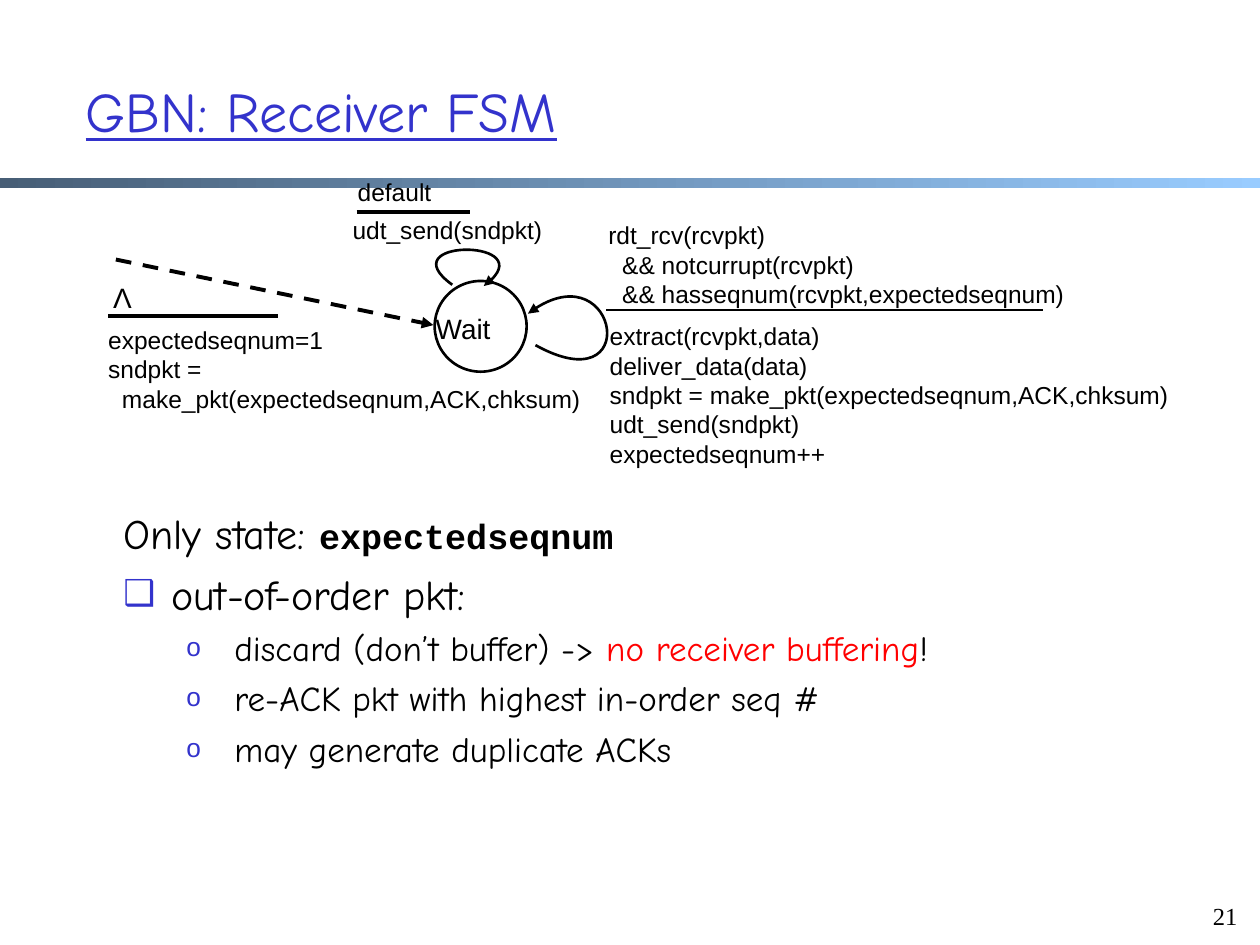
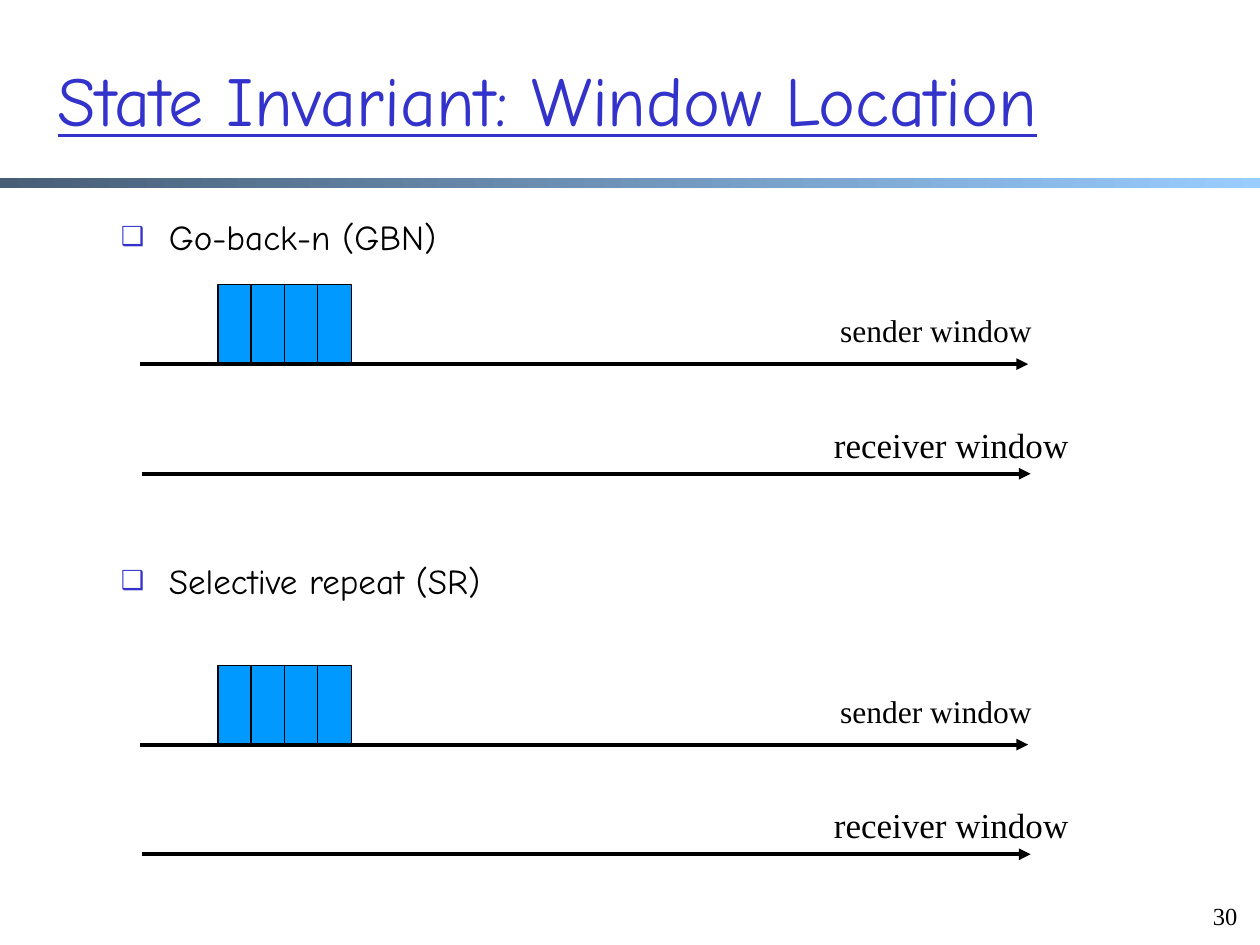
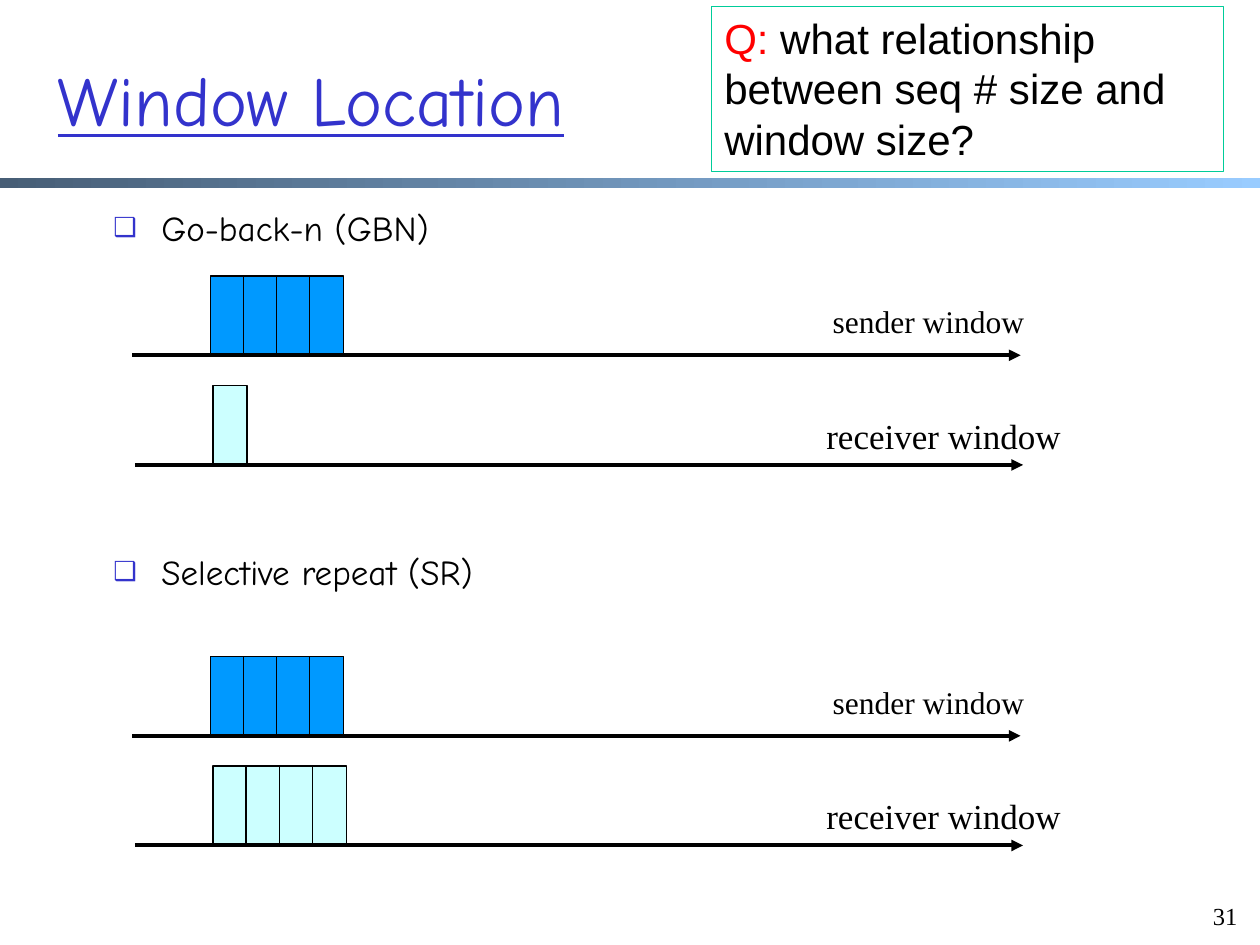
from dataclasses import dataclass

from lxml import etree
from pptx import Presentation
from pptx.dml.color import RGBColor
from pptx.enum.dml import MSO_LINE
from pptx.enum.shapes import MSO_CONNECTOR, MSO_SHAPE
from pptx.enum.text import MSO_ANCHOR, MSO_AUTO_SIZE, PP_ALIGN
from pptx.oxml.ns import qn
from pptx.util import Inches, Pt


@dataclass(frozen=True)
class Theme:
    """Colours, fonts and type sizes shared by the slides."""
    ink: str = "000000"
    accent: str = "3333CC"
    alert: str = "FF0000"
    paper: str = "FFFFFF"
    band_from: str = "475E76"
    band_to: str = "99CCFF"
    sender: str = "0099FF"
    receiver: str = "CCFFFF"
    question: str = "00CC99"
    heading: str = "Comic Neue"
    sans: str = "Arial"
    serif: str = "Times New Roman"
    mono: str = "Courier New"
    title: int = 40
    title_small: int = 32
    large: int = 24
    medium: int = 20
    label: int = 18
    state: int = 16
    small: int = 14
    thin: float = 0.75
    curve: float = 1.5
    thick: float = 2.25


THEME = Theme()
BOX_WIDTH, BOX_HEIGHT, BOX_PITCH = 0.27, 0.63, 0.263
AXIS_LENGTH = 7.05


def rgb(value):
    """Turn RRGGBB into a colour."""
    return RGBColor.from_string(value)


def place(shape, box):
    """Set left, top, width and height in inches."""
    shape.left, shape.top, shape.width, shape.height = map(Inches, box)


def add_run(paragraph, text, size, font, color=THEME.ink, bold=False):
    """Append a formatted run and return it."""
    run = paragraph.add_run()
    run.text = text
    run.font.size, run.font.name, run.font.bold = Pt(size), font, bold
    run.font.color.rgb = rgb(color)
    return run


def set_indent(paragraph, left, first=0):
    """Set the left margin and first-line indent in inches."""
    properties = paragraph._p.get_or_add_pPr()
    properties.set("marL", str(Inches(left)))
    properties.set("indent", str(Inches(first)))


def set_bullet(paragraph, char, percent):
    """Give a paragraph an accent bullet, or none when char is empty."""
    properties = paragraph._p.get_or_add_pPr()
    if not char:
        etree.SubElement(properties, qn("a:buNone"))
        return
    color = etree.SubElement(properties, qn("a:buClr"))
    etree.SubElement(color, qn("a:srgbClr"), val=THEME.accent)
    etree.SubElement(properties, qn("a:buSzPct"), val=str(percent * 1000))
    etree.SubElement(properties, qn("a:buFont"), typeface=THEME.sans)
    etree.SubElement(properties, qn("a:buChar"), char=char)


def add_item(frame, runs, level=0, bullet="", percent=75, before=4.7):
    """Append a list item made of (text, size, font, colour, bold) runs."""
    first = frame.paragraphs[0]
    paragraph = frame.add_paragraph() if first.runs else first
    paragraph.level = level
    paragraph.space_before = Pt(before)
    set_indent(paragraph, 0.38 + 0.5 * level, -0.38)
    set_bullet(paragraph, bullet, percent)
    for run in runs:
        add_run(paragraph, *run)


def add_text(slide, box, lines, size, font=THEME.sans, wrap=True):
    """Add a text box; lines are strings, or (string, indent) pairs."""
    shape = slide.shapes.add_textbox(*map(Inches, box))
    frame = shape.text_frame
    frame.word_wrap = wrap
    for index, line in enumerate(lines):
        text, indent = line if isinstance(line, tuple) else (line, 0)
        paragraph = frame.add_paragraph() if index else frame.paragraphs[0]
        if indent:
            set_indent(paragraph, indent)
        add_run(paragraph, text, size, font)
    return shape


def add_box(slide, kind, box, fill=None, line=THEME.ink, width=THEME.thin):
    """Add a preset shape without shadow."""
    shape = slide.shapes.add_shape(kind, *map(Inches, box))
    shape.shadow.inherit = False
    if fill:
        shape.fill.solid()
        shape.fill.fore_color.rgb = rgb(fill)
    else:
        shape.fill.background()
    shape.line.color.rgb = rgb(line)
    shape.line.width = Pt(width)
    return shape


def add_arrowhead(shape):
    """Put a triangle at the end of a line."""
    etree.SubElement(shape.line._get_or_add_ln(), qn("a:tailEnd"), type="triangle")


def add_line(slide, start, end, width=THEME.thick, arrow=False, dashed=False):
    """Add a straight line between two points."""
    line = slide.shapes.add_connector(
        MSO_CONNECTOR.STRAIGHT, *map(Inches, (*start, *end)))
    line.line.color.rgb = rgb(THEME.ink)
    line.line.width = Pt(width)
    if dashed:
        line.line.dash_style = MSO_LINE.DASH
    if arrow:
        add_arrowhead(line)
    etree.SubElement(line._element.spPr, qn("a:effectLst"))


def add_loop(slide, start, *controls_and_end):
    """Add a cubic curve with an arrowhead."""
    builder = slide.shapes.build_freeform(*map(Inches, start))
    builder.add_line_segments(
        [tuple(map(Inches, point)) for point in controls_and_end], close=False)
    loop = builder.convert_to_shape()
    path = next(loop._element.iter(qn("a:path")))
    segments = path.findall(qn("a:lnTo"))
    cubic = etree.SubElement(path, qn("a:cubicBezTo"))
    for segment in segments:
        cubic.append(segment[0])
        path.remove(segment)
    loop.shadow.inherit = False
    loop.fill.background()
    loop.line.color.rgb = rgb(THEME.ink)
    loop.line.width = Pt(THEME.curve)
    add_arrowhead(loop)


def add_band(prs, slide):
    """Draw the gradient band and move it to the slide master."""
    band = add_box(slide, MSO_SHAPE.RECTANGLE, (0, 1.41, 10, 0.08))
    band.line.fill.background()
    band.fill.gradient()
    band.fill.gradient_angle = 0
    for stop, color in zip(band.fill.gradient_stops,
                           (THEME.band_from, THEME.band_to)):
        stop.color.rgb = rgb(color)
    prs.slide_master.shapes._spTree.insert(2, band._element)


def add_slide(prs, title, title_box, title_size, body_box, number):
    """Add a slide with title and number; return it and its body frame."""
    slide = prs.slides.add_slide(prs.slide_layouts[1])
    heading, body = slide.shapes.title, slide.placeholders[1]
    place(heading, title_box)
    place(body, body_box)
    for shape in (heading, body):
        shape.text_frame.auto_size = MSO_AUTO_SIZE.NONE
        shape.text_frame.word_wrap = True
    heading.text_frame.vertical_anchor = MSO_ANCHOR.MIDDLE
    paragraph = heading.text_frame.paragraphs[0]
    paragraph.alignment = PP_ALIGN.LEFT
    run = add_run(paragraph, title, title_size, THEME.heading, THEME.accent)
    run.font.underline = True
    footer = add_text(slide, (9.46, 7.05, 0.46, 0.38), [str(number)],
                      THEME.small, THEME.serif).text_frame
    footer.vertical_anchor = MSO_ANCHOR.BOTTOM
    footer.paragraphs[0].alignment = PP_ALIGN.RIGHT
    return slide, body.text_frame


def add_state_machine(slide):
    """Draw the receiver state with its transitions."""
    add_box(slide, MSO_SHAPE.OVAL, (3.45, 2.23, 0.73, 0.72), THEME.paper,
            width=THEME.curve)
    add_text(slide, (3.36, 2.42, 0.88, 0.26), ["Wait"], THEME.state)

    add_line(slide, (0.92, 2.06), (3.44, 2.58), arrow=True, dashed=True)
    add_text(slide, (0.8, 2.18, 0.35, 0.37), ["\u039b"], THEME.state, wrap=False)
    add_line(slide, (0.86, 2.51), (2.21, 2.51))
    add_text(slide, (0.76, 2.53, 3.98, 1.07),
             ["expectedseqnum=1", "sndpkt =",
              ("make_pkt(expectedseqnum,ACK,chksum)", 0.11)], THEME.small)

    add_text(slide, (2.74, 1.36, 0.79, 0.27), ["default"], THEME.small)
    add_line(slide, (2.83, 1.68), (3.73, 1.68))
    add_text(slide, (2.7, 1.66, 1.77, 0.34), ["udt_send(sndpkt)"], THEME.small)
    add_loop(slide, (3.59, 2.26), (3.09, 1.9), (4.35, 1.89), (3.84, 2.27))

    add_text(slide, (4.73, 1.7, 3.9, 0.62),
             ["rdt_rcv(rcvpkt)", ("&& notcurrupt(rcvpkt)", 0.11),
              ("&& hasseqnum(rcvpkt,expectedseqnum)", 0.11)], THEME.small)
    add_line(slide, (4.81, 2.46), (8.28, 2.46), THEME.curve)
    add_text(slide, (4.74, 2.5, 4.72, 1.24),
             ["extract(rcvpkt,data)", "deliver_data(data)",
              "sndpkt = make_pkt(expectedseqnum,ACK,chksum)",
              "udt_send(sndpkt)", "expectedseqnum++"], THEME.small)
    add_loop(slide, (4.25, 2.74), (5.1, 3.21), (4.9, 1.95), (4.19, 2.49))


def add_receiver_slide(prs):
    """Build the receiver state machine slide."""
    slide, body = add_slide(prs, "GBN: Receiver FSM", (0.58, 0.25, 8.5, 1.25),
                            THEME.title_small, (0.88, 3.98, 8.91, 3.12), 21)
    add_band(prs, slide)
    large = (THEME.large, THEME.heading)
    medium = (THEME.medium, THEME.heading)
    add_item(body, [("Only state: ", *large),
                    ("expectedseqnum", THEME.medium, THEME.mono, THEME.ink, True)],
             before=5.6)
    add_item(body, [("out-of-order pkt:", *large)], 0, "\u2751", 85, 5.6)
    for runs in (
        [("discard (don\u2019t buffer) -> ", *medium),
         ("no receiver buffering", *medium, THEME.alert), ("!", *medium)],
        [("re-ACK pkt with highest in-order seq #", *medium)],
        [("may generate duplicate ACKs", *medium)],
    ):
        add_item(body, runs, 1, "o")
    add_state_machine(slide)


def add_lane(slide, left, top, side, count):
    """Draw one sequence axis with its label and window of packets."""
    sender = side == "sender"
    for index in range(count):
        add_box(slide, MSO_SHAPE.RECTANGLE,
                (left + 0.62 + index * BOX_PITCH, top - BOX_HEIGHT,
                 BOX_WIDTH, BOX_HEIGHT),
                THEME.sender if sender else THEME.receiver)
    add_line(slide, (left, top), (left + AXIS_LENGTH, top), arrow=True)
    box = ((left + 5.46, top - 0.47, 1.72, 0.4) if sender
           else (left + 5.39, top - 0.45, 2.06, 0.43))
    add_text(slide, box, [f"{side} window"],
             THEME.label if sender else THEME.medium, THEME.serif, wrap=False)


def add_window_slide(prs, title, width, number, origin, receiver_counts):
    """Build a slide comparing GBN and SR windows; return it."""
    left, top = origin
    slide, body = add_slide(prs, title, (0.36, 0.16, width, 1.25), THEME.title,
                            (left, top, 8.83, 3.27), number)
    protocols = ("Go-back-n (GBN)", "Selective repeat (SR)")
    for name, before in zip(protocols, (4.7, 172.7)):
        add_item(body, [(name, THEME.medium, THEME.heading)], 1, "\u2751",
                 before=before)
    for index, count in enumerate(receiver_counts):
        axis = top + 1.23 + 3.02 * index
        add_lane(slide, left + 0.75, axis, "sender", 4)
        add_lane(slide, left + 0.77, axis + 0.87, "receiver", count)
    return slide


def add_question(slide):
    """Add the framed question."""
    box = add_box(slide, MSO_SHAPE.RECTANGLE, (5.65, 0.05, 4.06, 1.31),
                  line=THEME.question)
    frame = box.text_frame
    frame.word_wrap = True
    frame.vertical_anchor = MSO_ANCHOR.TOP
    paragraph = frame.paragraphs[0]
    paragraph.alignment = PP_ALIGN.LEFT
    add_run(paragraph, "Q:", THEME.large, THEME.sans, THEME.alert)
    add_run(paragraph, " what relationship between seq # size and window size?",
            THEME.large, THEME.sans)


def main():
    """Build and save the deck."""
    prs = Presentation()
    prs.slide_width, prs.slide_height = Inches(10), Inches(7.5)
    add_receiver_slide(prs)
    add_window_slide(prs, "State Invariant: Window Location", 9.15, 30,
                     (0.36, 1.66), (0, 0))
    slide = add_window_slide(prs, "Window Location", 8.77, 31,
                             (0.3, 1.59), (1, 4))
    add_question(slide)
    prs.save("out.pptx")


main()
